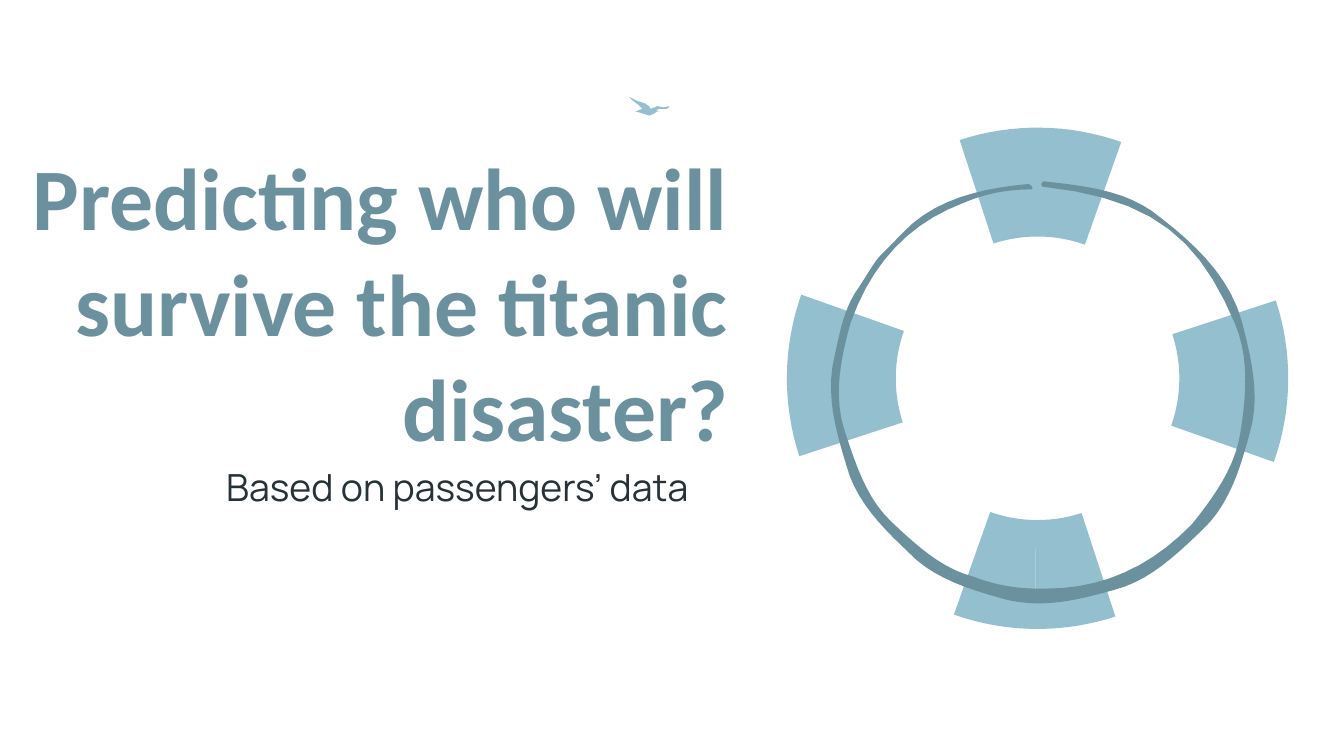
from math import cos, radians, sin

from pptx import Presentation
from pptx.dml.color import RGBColor
from pptx.enum.text import MSO_ANCHOR as Anchor, PP_ALIGN as Align
from pptx.util import Inches, Pt

COLS, ROWS = 100, 56.25
SKY, SEA, INK, WHITE = "93BFCE", "6B919E", "263236", "FFFFFF"

BIRD = [
    (46.8, 7.2), (47.1, 7.5), (47.5, 7.8), (47.8, 8.1), (47.3, 8.3), (47.7, 8.4),
    (48, 8.5), (48.3, 8.6), (48.6, 8.5), (48.9, 8.3), (49.1, 8.3), (48.8, 8.2),
    (49.1, 8.1), (49.6, 8.1), (49.8, 8), (49.8, 7.9), (49.4, 8), (48.9, 7.9),
    (48.7, 8), (48.4, 8.1), (48.3, 7.9), (48, 7.7), (47.4, 7.5),
]

ROPE = [
    (77.7, 13.5),
    (77.5, 13.5), (77.4, 13.8), (77.6, 13.9), (86.1, 14.8), (89.3, 18), (91.9, 24.1),
    (93, 26.7), (92.7, 29.6), (92.3, 32.2), (91.9, 34.8), (90.3, 37), (88.7, 39),
    (85.6, 42.2), (82, 43.8), (77.9, 43.8), (77.7, 43.8), (77.4, 43.8), (77.2, 43.8),
    (75.6, 43.8), (73.9, 43.5), (72.4, 42.9), (70, 42.3), (68, 40.4), (66.3, 38.8),
    (64.4, 37), (63.6, 34.3), (62.8, 31.9), (62, 29.3), (62.6, 26.5), (63.3, 24),
    (64.9, 19.5), (67.7, 16.6), (71.7, 15.1), (73.3, 14.4), (75, 14.1), (76.7, 14.1),
    (77, 14.1), (76.7, 13.7), (76.5, 13.7), (73.1, 14), (69.5, 14.8), (67.1, 17.4),
    (64.8, 19.8), (65.7, 18.6), (63.9, 21.4), (62.8, 22.9), (62.5, 24.7), (62.1, 26.5),
    (61.4, 29.3), (62.2, 32.1), (63, 34.7), (63.7, 37.3), (65.7, 39.3), (67.6, 41.1),
    (69.5, 43.1), (72.3, 43.9), (74.8, 44.6), (75.6, 44.8), (76.5, 44.9), (77.3, 44.9),
    (79.2, 44.9), (81.1, 44.4), (82.9, 43.9), (85.6, 43.2), (87.6, 41.2), (89.5, 39.4),
    (91.5, 37.5), (92.3, 34.8), (93, 32.2), (93.8, 29.5), (93.1, 26.6), (92.4, 23.9),
    (91.4, 20.3), (88.5, 17.8), (85.7, 15.7), (83.4, 14.1), (80.4, 13.8), (77.7, 13.5),
]


def color(value):
    """Turn a hex string into a colour."""
    return RGBColor.from_string(value)


def add_text(tf, text, *, font, size, fill, bold=False, align=Align.LEFT, after=0):
    """Write one formatted paragraph into a text frame."""
    p = tf.paragraphs[0]
    p.alignment = align
    p.space_after = Pt(after)
    r = p.add_run()
    r.text = text
    r.font.name, r.font.size, r.font.bold = font, Pt(size), bold
    r.font.color.rgb = color(fill)


def bezier(points, steps=10):
    """Sample a chain of cubic curves that share their end points."""
    curve = [points[0]]
    for i in range(0, len(points) - 1, 3):
        for t in (n / steps for n in range(1, steps + 1)):
            weights = (1 - t) ** 3, 3 * t * (1 - t) ** 2, 3 * t * t * (1 - t), t ** 3
            pairs = list(zip(weights, points[i:i + 4]))
            curve.append(tuple(sum(w * pt[k] for w, pt in pairs) for k in (0, 1)))
    return curve


def sector(center, inner, outer, start, end, steps=16):
    """Outline a ring sector, with angles clockwise from the top."""
    angles = [radians(start + (end - start) * n / steps) for n in range(steps + 1)]
    arcs = [(outer, a) for a in angles] + [(inner, a) for a in reversed(angles)]
    return [(center[0] + d * sin(a), center[1] - d * cos(a)) for d, a in arcs]


class Deck:
    """Hold the slide grid, the style and the current slide."""

    def __init__(self):
        """Start a 16:9 presentation with one blank slide."""
        self.prs = Presentation()
        self.prs.slide_width, self.prs.slide_height = Inches(10), Inches(10 * 9 / 16)
        self.s = self.prs.slides.add_slide(self.prs.slide_layouts[6])

    def x(self, col):
        """Convert columns to a length."""
        return round(self.prs.slide_width * col / COLS)

    def y(self, row):
        """Convert rows to a length."""
        return round(self.prs.slide_height * row / ROWS)

    def text(self, col, row, cols, rows, text, **style):
        """Add a wrapped, vertically centred text box."""
        sp = self.s.shapes.add_textbox(self.x(col), self.y(row), self.x(cols), self.y(rows))
        tf = sp.text_frame
        tf.word_wrap, tf.vertical_anchor = True, Anchor.MIDDLE
        tf.margin_left = tf.margin_right = tf.margin_top = tf.margin_bottom = Inches(0.1)
        add_text(tf, text, **style)

    def outline(self, points, fill):
        """Add a closed, filled outline."""
        (x, y), *rest = [(self.x(col), self.y(row)) for col, row in points]
        builder = self.s.shapes.build_freeform(x, y)
        builder.add_line_segments(rest, close=True)
        sp = builder.convert_to_shape()
        sp.shadow.inherit = False
        sp.fill.solid()
        sp.fill.fore_color.rgb = color(fill)
        sp.line.fill.background()

    def lifebuoy(self, center, inner, outer):
        """Add the white and blue bands and the rope over them."""
        whites = [(a, a + 52.4) for a in (199.5, 289.5, 19.5, 109.5)]
        blues = [(251.9, 289.5), (-18.1, 19.5), (180.6, 199.5), (161.9, 180.6), (71.9, 109.5)]
        for fill, bands in ((WHITE, whites), (SKY, blues)):
            for start, end in bands:
                self.outline(sector(center, inner, outer, start, end), fill)
        self.outline(bezier(ROPE), SEA)


def main():
    """Build the title slide."""
    deck = Deck()
    deck.outline(BIRD, SKY)
    deck.text(-1.2, 10.95, 56.4, 22.9, "Predicting who will survive the titanic disaster?",
              font="Calibri", size=47, fill=SEA, bold=True, align=Align.RIGHT)
    deck.text(15.85, 34.2, 47, 4, "Based on passengers’ data",
              font="Manrope", size=20, fill=INK, after=12)
    deck.lifebuoy((77.2, 28.15), 10.55, 18.65)
    deck.prs.save("out.pptx")


if __name__ == "__main__":
    main()
